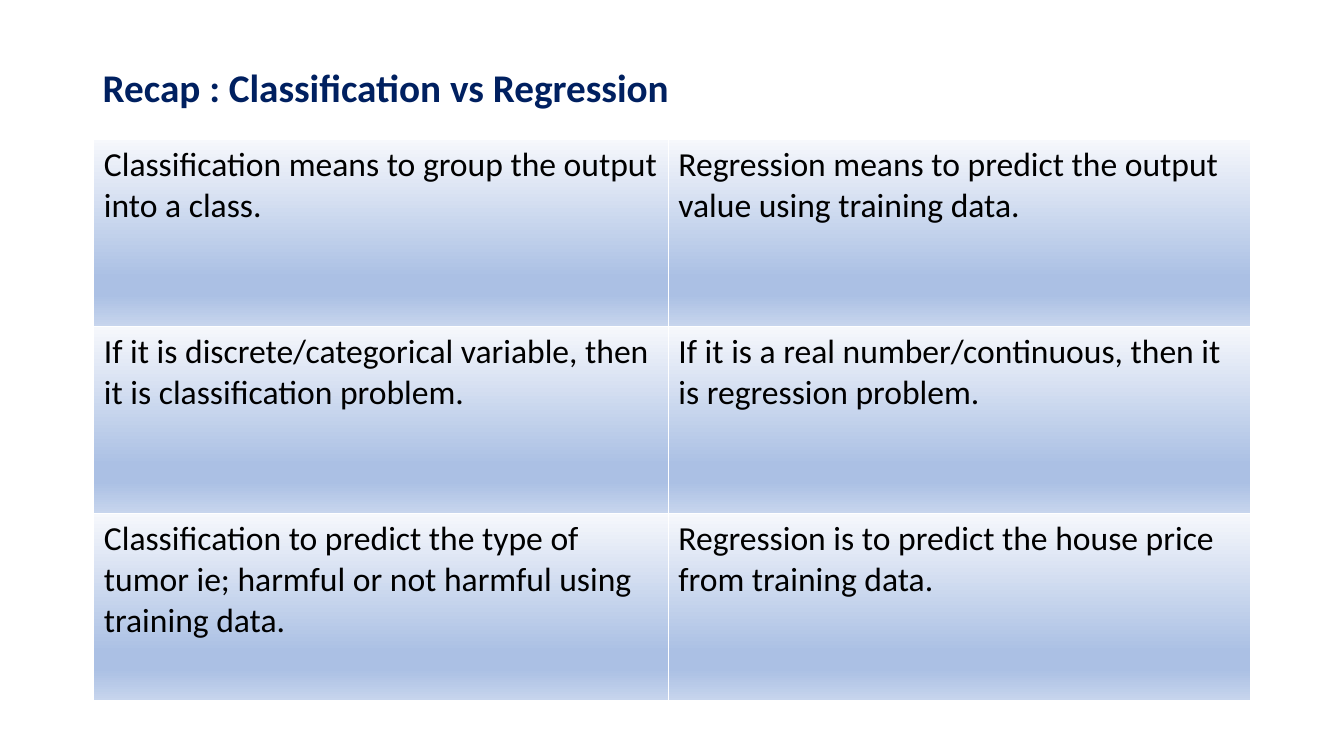
"""Build a slide comparing classification with regression."""
from lxml.etree import SubElement
from pptx import Presentation
from pptx.dml.color import RGBColor
from pptx.enum.text import MSO_ANCHOR, MSO_AUTO_SIZE, PP_ALIGN
from pptx.oxml.ns import qn
from pptx.util import Pt

TITLE = "Recap : Classification vs Regression"
COMPARISON = [
    ("Classification means to group the output into a class.",
     "Regression means to predict the output value using training data."),
    ("If it is discrete/categorical variable, then it is classification problem.",
     "If it is a real number/continuous, then it is regression problem."),
    ("Classification to predict the type of tumor ie; harmful or not harmful using training data.",
     "Regression is to predict the house price from training data."),
]

FONT = "Calibri"
NAVY = RGBColor(0x00, 0x20, 0x60)
BLACK = RGBColor(0x00, 0x00, 0x00)
WHITE = RGBColor(0xFF, 0xFF, 0xFF)
PALE = RGBColor(0xF6, 0xF8, 0xFC)
BLUE = RGBColor(0xAB, 0xC0, 0xE4)
LIGHT_BLUE = RGBColor(0xC7, 0xD5, 0xED)
GRADIENT = [(0, PALE), (74, BLUE), (83, BLUE), (100, LIGHT_BLUE)]

TITLE_BOX = (66.2, 28.8, 828, 70.6)
TABLE_LEFT, TABLE_TOP = 67, 99.4
COLUMN_WIDTHS = (410.4, 416.2)
ROW_HEIGHT = 133.7


def add_run(para, text, size, color, bold=False):
    span = para.add_run()
    span.text = text
    font = span.font
    font.name, font.size, font.bold = FONT, Pt(size), bold
    font.color.rgb = color


def add_color(parent, color):
    SubElement(parent, qn("a:srgbClr"), val=str(color))


def style_cell(cell):
    properties = cell._tc.get_or_add_tcPr()
    for side in ("lnL", "lnR", "lnT", "lnB"):
        line = SubElement(properties, qn(f"a:{side}"), w=str(Pt(1)))
        add_color(SubElement(line, qn("a:solidFill")), WHITE)
    gradient = SubElement(properties, qn("a:gradFill"), rotWithShape="1")
    stops = SubElement(gradient, qn("a:gsLst"))
    for percent, color in GRADIENT:
        add_color(SubElement(stops, qn("a:gs"), pos=str(percent * 1000)), color)
    SubElement(gradient, qn("a:lin"), ang=str(90 * 60000), scaled="0")


def add_title(page):
    box = page.shapes.title
    box.left, box.top, box.width, box.height = map(Pt, TITLE_BOX)
    frame = box.text_frame
    frame.auto_size = MSO_AUTO_SIZE.NONE
    frame.vertical_anchor = MSO_ANCHOR.MIDDLE
    para = frame.paragraphs[0]
    para.alignment = PP_ALIGN.LEFT
    para.line_spacing = 0.9
    add_run(para, TITLE, 28, NAVY, bold=True)


def add_comparison(page):
    rows = len(COMPARISON)
    table = page.shapes.add_table(
        rows, len(COLUMN_WIDTHS), Pt(TABLE_LEFT), Pt(TABLE_TOP),
        Pt(sum(COLUMN_WIDTHS)), Pt(rows * ROW_HEIGHT)).table
    table.first_row = table.horz_banding = False
    for column, width in zip(table.columns, COLUMN_WIDTHS):
        column.width = Pt(width)
    for row, texts in zip(table.rows, COMPARISON):
        row.height = Pt(ROW_HEIGHT)
        for cell, text in zip(row.cells, texts):
            style_cell(cell)
            add_run(cell.text_frame.paragraphs[0], text, 24, BLACK)


def main():
    deck = Presentation()
    deck.slide_width, deck.slide_height = Pt(960), Pt(540)
    page = deck.slides.add_slide(deck.slide_layouts[5])
    add_title(page)
    add_comparison(page)
    deck.save("out.pptx")


if __name__ == "__main__":
    main()
